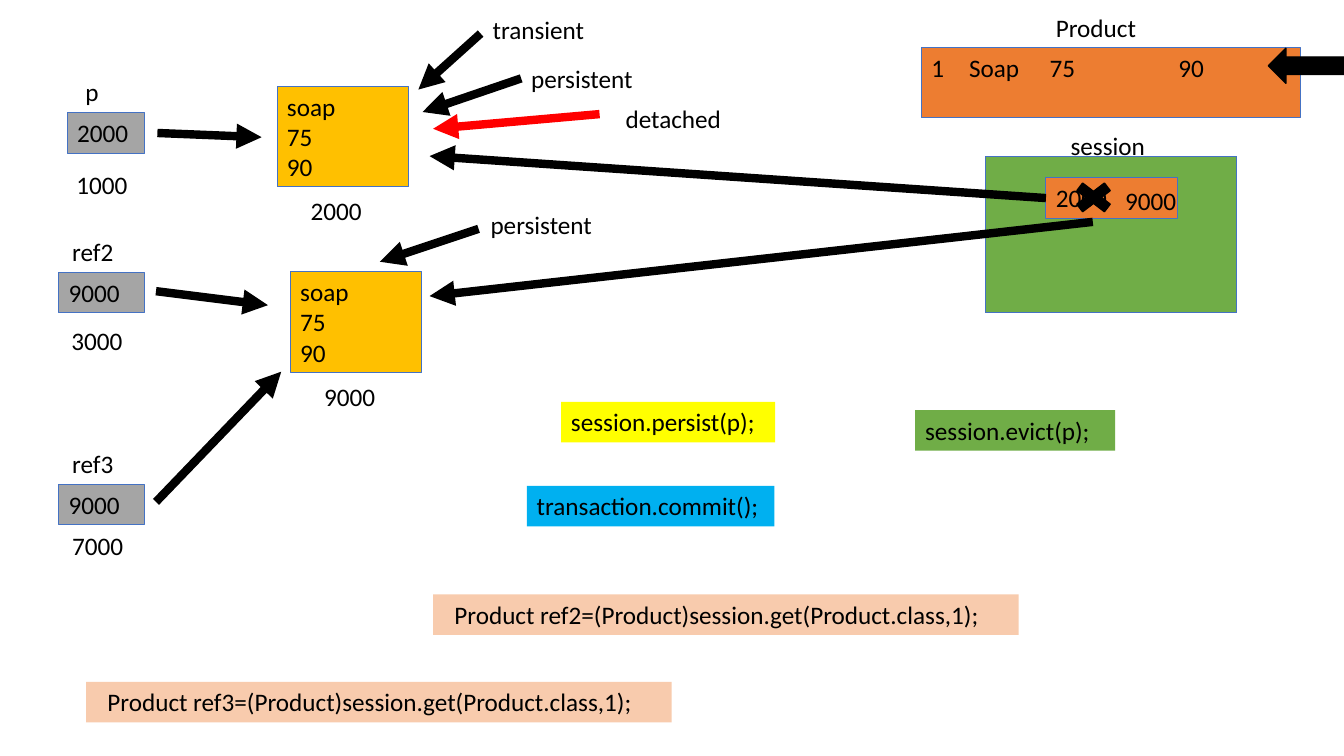
import pptx
import pptx.dml.color
import pptx.enum.shapes
import pptx.enum.text
import pptx.oxml
import pptx.oxml.ns
import pptx.util

Pt = pptx.util.Pt
RGBColor = pptx.dml.color.RGBColor
MSO_SHAPE = pptx.enum.shapes.MSO_SHAPE

BLACK = RGBColor(0x00, 0x00, 0x00)
RED = RGBColor(0xFF, 0x00, 0x00)
BLUE = RGBColor(0x44, 0x72, 0xC4)
GOLD = RGBColor(0xFF, 0xC0, 0x00)
GRAY = RGBColor(0xA5, 0xA5, 0xA5)
ORANGE = RGBColor(0xED, 0x7D, 0x31)
GREEN = RGBColor(0x70, 0xAD, 0x47)
YELLOW = RGBColor(0xFF, 0xFF, 0x00)
SKY = RGBColor(0x00, 0xB0, 0xF0)
PEACH = RGBColor(0xF8, 0xCB, 0xAD)

FONT = "Calibri"
LINE_H = 29  # height of a one-line box


def add_xml(parent, xml):
    """Append a DrawingML element to parent and return it."""
    ns = pptx.oxml.ns.nsdecls("a")
    el = pptx.oxml.parse_xml(xml.replace("/>", f" {ns}/>", 1))
    parent.append(el)
    return el


def write(sp, text, *, size=18, color=BLACK, left=7.2, tabs=(), number=False):
    """Fill a shape with left-aligned text, one paragraph a line."""
    tf = sp.text_frame
    tf.word_wrap = True
    tf.vertical_anchor = pptx.enum.text.MSO_ANCHOR.TOP
    tf.margin_left, tf.margin_right = Pt(left), Pt(7.2)
    tf.margin_top = tf.margin_bottom = Pt(3.6)
    for i, line in enumerate(text.split("\n")):
        p = tf.paragraphs[0] if i == 0 else tf.add_paragraph()
        p.alignment = pptx.enum.text.PP_ALIGN.LEFT
        pPr = p._p.get_or_add_pPr()
        if number:
            pPr.set("marL", str(Pt(27)))
            pPr.set("indent", str(Pt(-27)))
            add_xml(pPr, '<a:buAutoNum type="arabicPlain"/>')
        if tabs:
            tab_list = add_xml(pPr, "<a:tabLst/>")
            for pos in tabs:
                add_xml(tab_list, f'<a:tab pos="{Pt(pos)}" algn="l"/>')
        r = p.add_run()
        r.text = line
        r.font.name, r.font.size = FONT, Pt(size)
        r.font.color.rgb = color


def add_label(s, text, x, y, w=94):
    sp = s.shapes.add_textbox(Pt(x), Pt(y), Pt(w), Pt(LINE_H))
    write(sp, text)


def add_box(s, x, y, w, h, fill, text="", *, line=BLUE, line_w=0.75,
            kind=MSO_SHAPE.RECTANGLE, **fmt):
    sp = s.shapes.add_shape(kind, Pt(x), Pt(y), Pt(w), Pt(h))
    sp.shadow.inherit = False
    sp.fill.solid()
    sp.fill.fore_color.rgb = fill
    if line is None:
        sp.line.fill.background()
    else:
        sp.line.color.rgb = line
        sp.line.width = Pt(line_w)
    if text:
        write(sp, text, **fmt)
    return sp


def add_arrow(s, x1, y1, x2, y2, color=BLACK):
    c = s.shapes.add_connector(pptx.enum.shapes.MSO_CONNECTOR.STRAIGHT,
                               Pt(x1), Pt(y1), Pt(x2), Pt(y2))
    c.line.color.rgb = color
    c.line.width = Pt(6)
    add_xml(c.line._get_or_add_ln(), '<a:tailEnd type="triangle"/>')
    add_xml(c._element.spPr, "<a:effectLst/>")
    return c


def add_reference(s, name, value, address, box, name_at, address_at):
    """A variable: its name, the address it holds and its own address."""
    add_box(s, *box, LINE_H, GRAY, value)
    add_label(s, name, *name_at, 56)
    add_label(s, address, *address_at, 56)


def add_object(s, x, y, address):
    """A product object with its address underneath."""
    add_box(s, x, y, 94, 72, GOLD, "soap\n75\n90")
    add_label(s, address, x + 17, y + 74.5, 56)


def main():
    prs = pptx.Presentation()
    prs.slide_width, prs.slide_height = Pt(960.5), Pt(540)
    s = prs.slides.add_slide(prs.slide_layouts[6])

    # Variables and objects
    add_reference(s, "p", "2000", "1000", (48, 80.5, 55.5), (54, 51), (47.5, 117.5))
    add_reference(s, "ref2", "9000", "3000", (42, 194.5, 61), (44.5, 165.5), (44, 228.5))
    add_reference(s, "ref3", "9000", "7000", (42, 346, 61), (44.5, 317), (44.5, 375.5))
    add_object(s, 198, 61.5, "2000")
    add_object(s, 207.5, 194, "9000")

    # Database table
    add_label(s, "Product", 747.5, 5)
    add_box(s, 658.5, 34, 271, 50, ORANGE, "Soap\t75\t90",
            number=True, tabs=(84.5, 176.5))
    add_box(s, 906.5, 34.5, 66, 25, BLACK, line=BLACK, line_w=1,
            kind=MSO_SHAPE.LEFT_ARROW)

    # Session cache
    add_box(s, 704, 111.5, 180, 112, GREEN)
    add_label(s, "session", 758, 89.5, 71)
    cached = add_box(s, 747.5, 127, 94, LINE_H, ORANGE, "2000")
    add_box(s, 762.5, 126.5, 38, LINE_H, BLACK, line=BLACK, line_w=1,
            kind=MSO_SHAPE.MATH_MULTIPLY)
    add_label(s, "9000", 797, 128.5, 61)

    # Object states
    add_label(s, "transient", 345, 7)
    add_label(s, "persistent", 372.5, 42)
    add_label(s, "detached", 440, 70)
    add_label(s, "persistent", 343.5, 146)

    # Arrows
    for ends in [(343.5, 24, 299, 64), (112.5, 95, 187, 98),
                 (111.5, 208, 191.5, 218), (372.5, 56, 302, 80),
                 (111.5, 358.5, 201, 265.5), (781, 158.5, 307, 211.5),
                 (342, 163.5, 271.5, 187)]:
        add_arrow(s, *ends)
    add_arrow(s, 428.5, 81.5, 309.5, 92, RED)
    add_arrow(s, 747.5, 141.5, 307, 111.5).begin_connect(cached, 1)

    # Code statements
    for text, x, y, w, fill, left in [
            ("session.persist(p);", 401, 287, 153, YELLOW, 7.2),
            ("transaction.commit();", 376.5, 347, 177, SKY, 7.2),
            ("session.evict(p);", 654, 293, 143, GREEN, 7.2),
            ("Product ref2=(Product)session.get(Product.class,1);",
             309.5, 424.5, 418.5, PEACH, 15.3),
            ("Product ref3=(Product)session.get(Product.class,1);",
             61.5, 487, 418.5, PEACH, 15.3)]:
        add_box(s, x, y, w, LINE_H, fill, text, line=None, left=left)

    prs.save("out.pptx")


if __name__ == "__main__":
    main()
